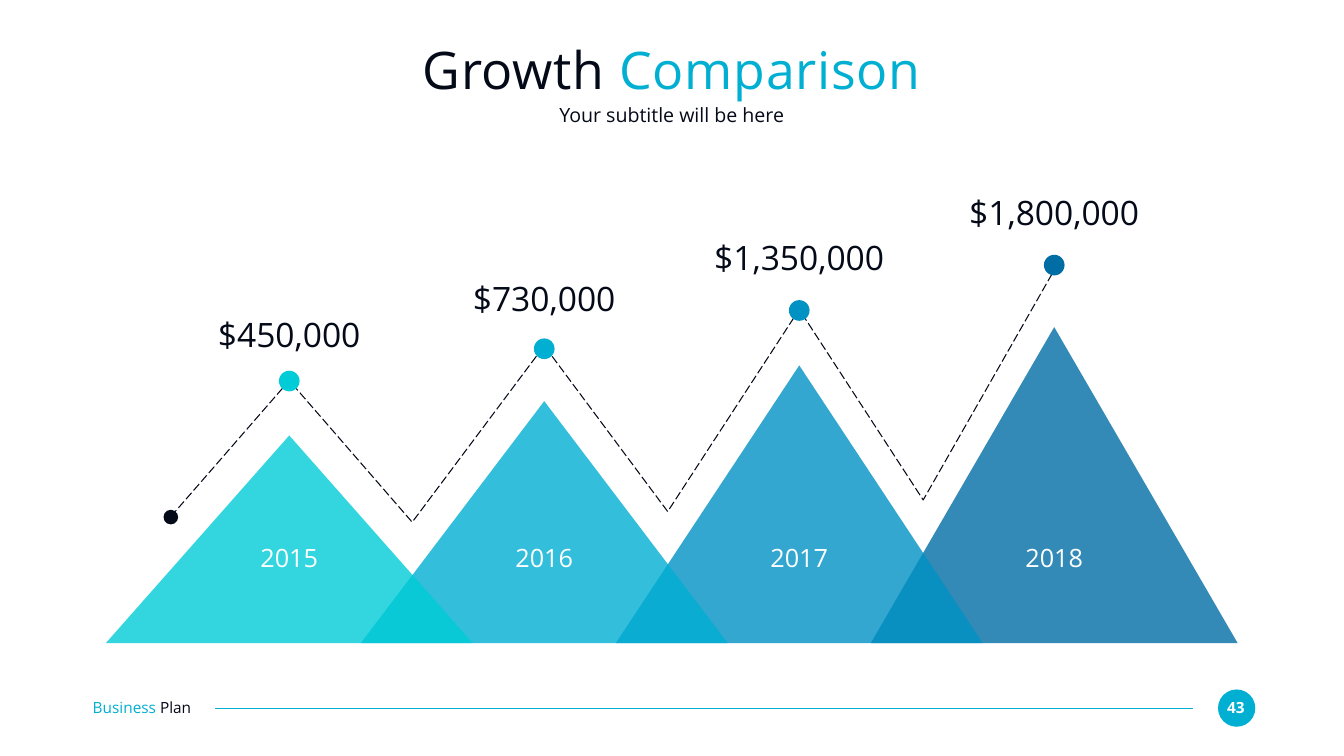
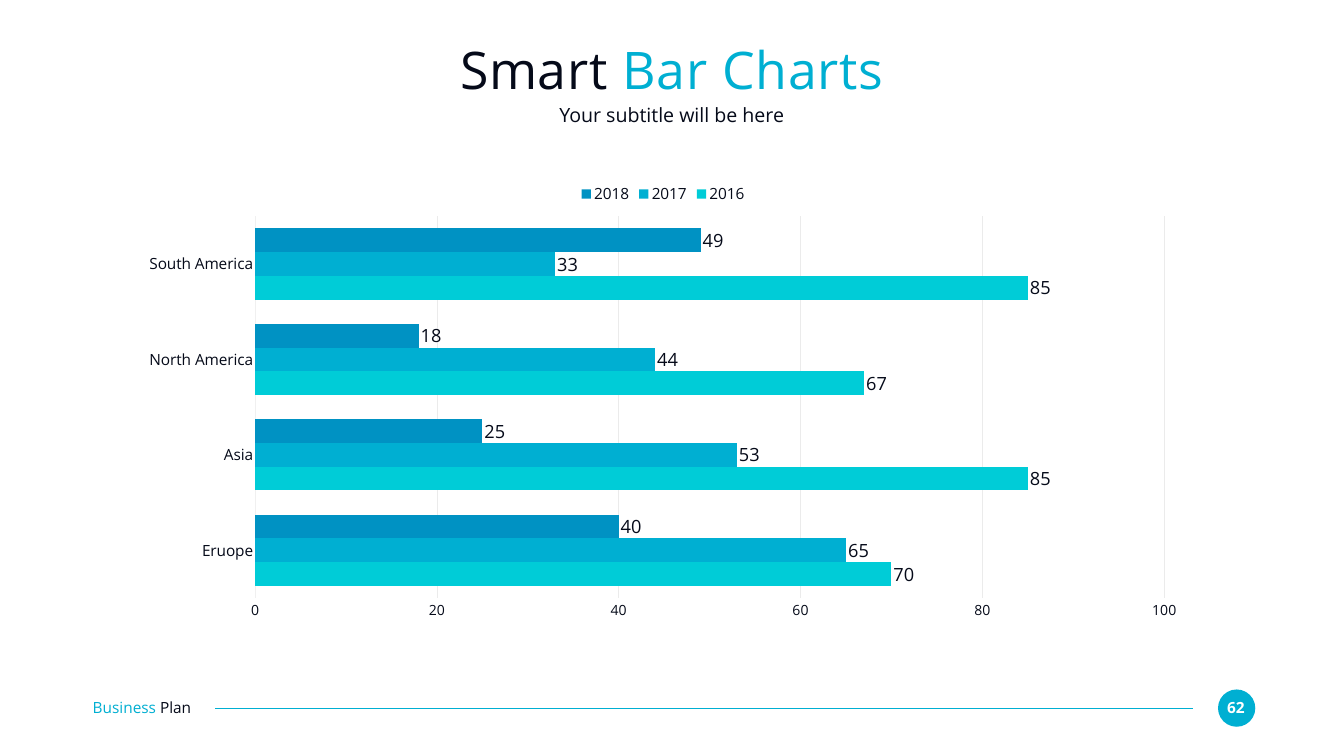
from lxml import etree
from pptx import Presentation
from pptx import util as u
from pptx.chart.data import CategoryChartData
from pptx.dml.color import RGBColor
from pptx.enum import chart as charts, dml, shapes, text
from pptx.oxml.ns import qn

FONT = "Open Sans"
COLORS = {
    "ink": "050A19",
    "white": "FFFFFF",
    "accent": "00AFD2",
    "aqua": "00CCD7",
    "blue": "0092C3",
    "navy": "006DA4",
    "grid": "EBEBEB",
    "axis": "F0F0F0",
}


def rgb(name):
    return RGBColor.from_string(COLORS[name])


def box(*lengths):
    return [u.Inches(length) for length in lengths]


class Deck:
    def __init__(self):
        self.presentation = Presentation()
        self.presentation.slide_width = u.Inches(26.67)
        self.presentation.slide_height = u.Inches(15)
        self.slide = None

    def start(self, title, subtitle, number):
        self.slide = self.presentation.slides.add_slide(self.presentation.slide_layouts[6])
        self.shape(shapes.MSO_SHAPE.OVAL, 24.17, 13.68, 0.74, 0.74, "accent")
        self.label([(number, "white")], 24.23, 13.85, 0.59, 0.37, 22, bold=True)
        self.rule(23.67, 14.05, 4.27, 14.05)
        self.label([("Business ", "accent"), ("Plan", "ink")], 1.84, 13.84, 2.59, 0.37, 22,
                   align=text.PP_ALIGN.LEFT)
        self.label(title, 1.83, 0.73, 23, 1.27, 74, spacing=1)
        self.label([(subtitle, "ink")], 1.83, 2.03, 23, 0.49, 28)

    def label(self, parts, x, y, w, h, size, align=text.PP_ALIGN.CENTER, bold=False, spacing=0):
        frame = self.slide.shapes.add_textbox(*box(x, y, w, h)).text_frame
        frame.word_wrap = True
        frame.vertical_anchor = text.MSO_ANCHOR.MIDDLE
        frame.margin_left = frame.margin_right = frame.margin_top = frame.margin_bottom = 0
        paragraph = frame.paragraphs[0]
        paragraph.alignment = align
        for words, color in parts:
            run = paragraph.add_run()
            run.text = words
            self.style(run.font, size, color)
            run.font.bold = bold
            if spacing:
                run.font._element.set("spc", str(spacing * 100))

    def style(self, font, size, color="ink"):
        font.name = FONT
        font.size = u.Pt(size)
        font.color.rgb = rgb(color)

    def shape(self, kind, x, y, w, h, color, opacity=100):
        figure = self.slide.shapes.add_shape(kind, *box(x, y, w, h))
        figure.shadow.inherit = False
        figure.line.fill.background()
        figure.fill.solid()
        figure.fill.fore_color.rgb = rgb(color)
        if opacity < 100:
            fill_color = figure._element.spPr.find(qn("a:solidFill"))[0]
            etree.SubElement(fill_color, qn("a:alpha")).set("val", str(opacity * 1000))

    def dot(self, x, y, size, color):
        self.shape(shapes.MSO_SHAPE.OVAL, x - size / 2, y - size / 2, size, size, color)

    def rule(self, x1, y1, x2, y2):
        line = self.slide.shapes.add_connector(shapes.MSO_CONNECTOR.STRAIGHT, *box(x1, y1, x2, y2))
        line.line.color.rgb = rgb("accent")
        line.line.width = u.Pt(1.5)
        etree.SubElement(line._element.spPr, qn("a:effectLst"))

    def dashed_line(self, points):
        start, *rest = [box(*point) for point in points]
        builder = self.slide.shapes.build_freeform(*start)
        builder.add_line_segments(rest, close=False)
        trend = builder.convert_to_shape()
        trend.shadow.inherit = False
        trend.fill.background()
        trend.line.color.rgb = rgb("ink")
        trend.line.width = u.Pt(1.5)
        trend.line.dash_style = dml.MSO_LINE.LONG_DASH

    def bar_chart(self, categories, series, x, y, w, h):
        data = CategoryChartData()
        data.categories = categories
        for name, values, _ in series:
            data.add_series(name, values)
        chart = self.slide.shapes.add_chart(
            charts.XL_CHART_TYPE.BAR_CLUSTERED, *box(x, y, w, h), data).chart
        self.style(chart.font, 22)
        chart.has_title = False
        chart.has_legend = True
        chart.legend.position = charts.XL_LEGEND_POSITION.TOP
        chart.legend.include_in_layout = False
        self.style(chart.legend.font, 22)

        plot = chart.plots[0]
        plot.gap_width = 102
        plot.overlap = 0
        plot.vary_by_categories = False
        for bars, (_, _, color) in zip(plot.series, series):
            bars.format.fill.solid()
            bars.format.fill.fore_color.rgb = rgb(color)
            labels = bars.data_labels
            labels.show_value = True
            labels.position = charts.XL_LABEL_POSITION.OUTSIDE_END
            self.style(labels.font, 26)

        for axis, size in ((chart.category_axis, 22), (chart.value_axis, 20)):
            axis.major_tick_mark = axis.minor_tick_mark = charts.XL_TICK_MARK.NONE
            self.style(axis.tick_labels.font, size)
        regions, amounts = chart.category_axis, chart.value_axis
        regions.format.line.color.rgb = rgb("axis")
        regions.format.line.width = u.Pt(0.75)
        amounts.format.line.fill.background()
        amounts.minimum_scale, amounts.maximum_scale, amounts.major_unit = 0, 100, 20
        gridlines = amounts.major_gridlines.format.line
        gridlines.color.rgb = rgb("grid")
        gridlines.width = u.Pt(1)


def growth_slide(deck):
    deck.start([("Growth ", "ink"), ("Comparison", "accent")], "Your subtitle will be here", "43")
    first_center, step, ground, base_width = 5.74, 5.06, 12.76, 7.28
    years = [
        ("2015", "$450,000", "aqua", 8.64, 7.56, 6.23),
        ("2016", "$730,000", "accent", 7.96, 6.92, 5.51),
        ("2017", "$1,350,000", "blue", 7.25, 6.16, 4.7),
        ("2018", "$1,800,000", "navy", 6.49, 5.26, 3.81),
    ]
    centers = [first_center + step * i for i in range(len(years))]
    mountains = list(zip(centers, years))

    for center, (_, _, color, summit, _, _) in reversed(mountains):
        deck.shape(shapes.MSO_SHAPE.ISOSCELES_TRIANGLE, center - base_width / 2, summit,
                   base_width, ground - summit, color, opacity=80)

    deck.dashed_line([(3.39, 10.25), (5.74, 7.55), (8.18, 10.36), (10.8, 6.86),
                      (13.25, 10.15), (15.86, 6.14), (18.32, 9.92), (20.93, 5.34)])
    deck.dot(3.39, 10.26, 0.29, "ink")
    for center, (year, amount, color, _, dot_y, amount_y) in mountains:
        deck.label([(year, "white")], center - 1.2, 10.76, 2.4, 0.61, 36)
        deck.label([(amount, "ink")], center - 1.84, amount_y, 3.68, 0.81, 48)
        deck.dot(center, dot_y, 0.41, color)


def bar_slide(deck):
    deck.start([("Smart ", "ink"), ("Bar Charts", "accent")], "Your subtitle will be here", "62")
    deck.bar_chart(
        ["Eruope", "Asia", "North America", "South America"],
        [("2016", (70, 85, 67, 85), "aqua"),
         ("2017", (65, 53, 44, 33), "accent"),
         ("2018", (40, 25, 18, 49), "blue")],
        2.54, 3.51, 21.23, 8.96)


def main():
    deck = Deck()
    growth_slide(deck)
    bar_slide(deck)
    deck.presentation.save("out.pptx")


if __name__ == "__main__":
    main()
